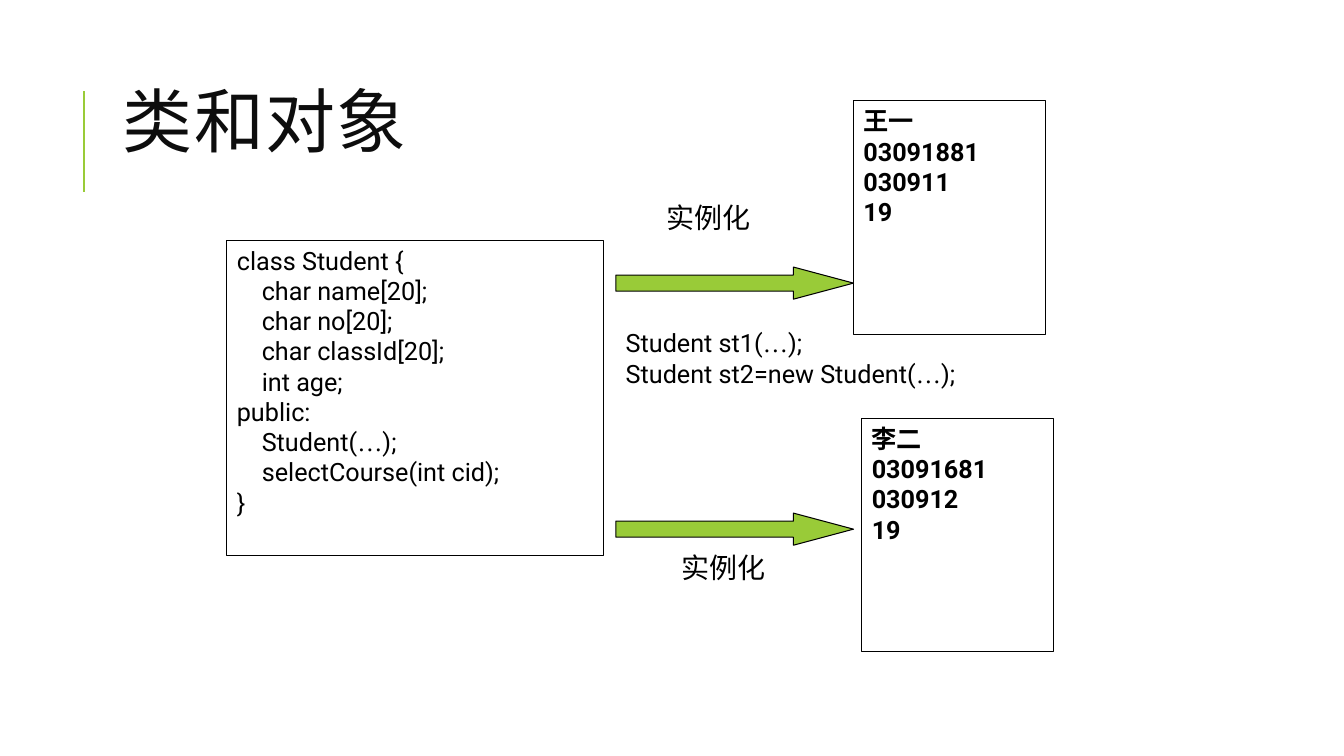
from dataclasses import dataclass

from pptx import Presentation
from pptx import util as u
from pptx.dml.color import RGBColor
from pptx.enum import shapes, text
from pptx.oxml import ns, xmlchemy

BLACK, INK, GREEN = "000000", "0D0D0D", "99CB38"
FONT, ELLIPSIS_FONT, TITLE_FONT = "Roboto", "Times New Roman", "Calibri"


@dataclass
class Box:
    """A text block; lengths in cm, sizes in points."""
    left: float
    top: float
    width: float
    height: float
    lines: list[str]
    size: int = 18
    bold: bool = False
    framed: bool = True
    wrap: bool = True


@dataclass
class Arrow:
    left: float
    top: float
    width: float = 5.99
    height: float = 0.81


CODE = [
    "class Student {",
    "    char name[20];",
    "    char no[20];",
    "    char classId[20];",
    "    int age;",
    "public:",
    "    Student(…);",
    "    selectCourse(int cid);",
    "}",
]
CALLS = ["Student st1(…);", "Student st2=new Student(…);"]

BOXES = [
    Box(5.72, 6.05, 9.5, 7.95, CODE),
    Box(21.51, 2.54, 4.83, 5.89, ["王一", "03091881", "030911", "19"], bold=True),
    Box(21.72, 10.54, 4.83, 5.89, ["李二", "03091681", "030912", "19"], bold=True),
    Box(16.54, 4.93, 2.62, 1.12, ["实例化"], size=20, framed=False, wrap=False),
    Box(16.92, 13.74, 2.62, 1.12, ["实例化"], size=20, framed=False, wrap=False),
    Box(15.52, 8.13, 11.91, 2.82, CALLS, framed=False),
]
ARROWS = [Arrow(15.52, 6.73), Arrow(15.52, 12.93)]


def rgb(value: str) -> RGBColor:
    return RGBColor.from_string(value)


def apply(target, values: dict) -> None:
    for name, value in values.items():
        setattr(target, name, value)


def place(item) -> tuple:
    return tuple(u.Cm(v) for v in (item.left, item.top, item.width, item.height))


def outline(sp, color: str, width: float) -> None:
    sp.line.color.rgb = rgb(color)
    sp.line.width = u.Pt(width)


def style(r, name: str, size: int, color: str, bold: bool = False) -> None:
    apply(r.font, {"name": name, "size": u.Pt(size), "bold": bold})
    r.font.color.rgb = rgb(color)


def add_title(s, title: str) -> None:
    sp = s.shapes.title
    apply(sp, dict(zip(("left", "top", "width", "height"),
                       map(u.Cm, (2.84, 1.63, 27, 3.18)))))
    tf = sp.text_frame
    apply(tf, {"vertical_anchor": text.MSO_ANCHOR.MIDDLE, "word_wrap": True,
               "auto_size": text.MSO_AUTO_SIZE.NONE})
    p = tf.paragraphs[0]
    apply(p, {"alignment": text.PP_ALIGN.LEFT, "line_spacing": 0.8})
    r = p.add_run()
    r.text = title
    style(r, TITLE_FONT, 50, INK)
    r.font._element.set("spc", "100")


def add_rule(s) -> None:
    x = u.Cm(2.11)
    line = s.shapes.add_connector(shapes.MSO_CONNECTOR.STRAIGHT,
                                  x, u.Cm(4.83), x, u.Cm(2.29))
    outline(line, GREEN, 1.5)
    line._element.spPr.append(xmlchemy.OxmlElement("a:effectLst"))


def add_box(s, box: Box) -> None:
    if box.framed:
        sp = s.shapes.add_shape(shapes.MSO_SHAPE.RECTANGLE, *place(box))
        sp.shadow.inherit = False
        sp.fill.background()
        outline(sp, BLACK, 0.75)
    else:
        sp = s.shapes.add_textbox(*place(box))
    tf = sp.text_frame
    apply(tf, {"word_wrap": box.wrap, "vertical_anchor": text.MSO_ANCHOR.TOP,
               "auto_size": text.MSO_AUTO_SIZE.NONE})
    for i, line in enumerate(box.lines):
        p = tf.add_paragraph() if i else tf.paragraphs[0]
        p.alignment = text.PP_ALIGN.LEFT
        for part in filter(None, line.partition("…")):
            r = p.add_run()
            r.text = part
            name = ELLIPSIS_FONT if part == "…" else FONT
            style(r, name, box.size, BLACK, box.bold)


def add_arrow(s, arrow: Arrow) -> None:
    sp = s.shapes.add_shape(shapes.MSO_SHAPE.RIGHT_ARROW, *place(arrow))
    sp.shadow.inherit = False
    sp.adjustments[0] = 0.5
    sp.adjustments[1] = 1.87
    sp.fill.solid()
    sp.fill.fore_color.rgb = rgb(GREEN)
    outline(sp, BLACK, 0.75)


def main() -> None:
    prs = Presentation()
    apply(prs, {"slide_width": u.Cm(33.87), "slide_height": u.Cm(19.05)})
    s = prs.slides.add_slide(prs.slide_layouts.get_by_name("Title Only"))

    # Heading
    add_rule(s)
    add_title(s, "类和对象")

    # Class, objects and labels
    for box in BOXES:
        add_box(s, box)

    # Instantiation arrows
    for arrow in ARROWS:
        add_arrow(s, arrow)

    prs.save("out.pptx")


if __name__ == "__main__":
    main()
